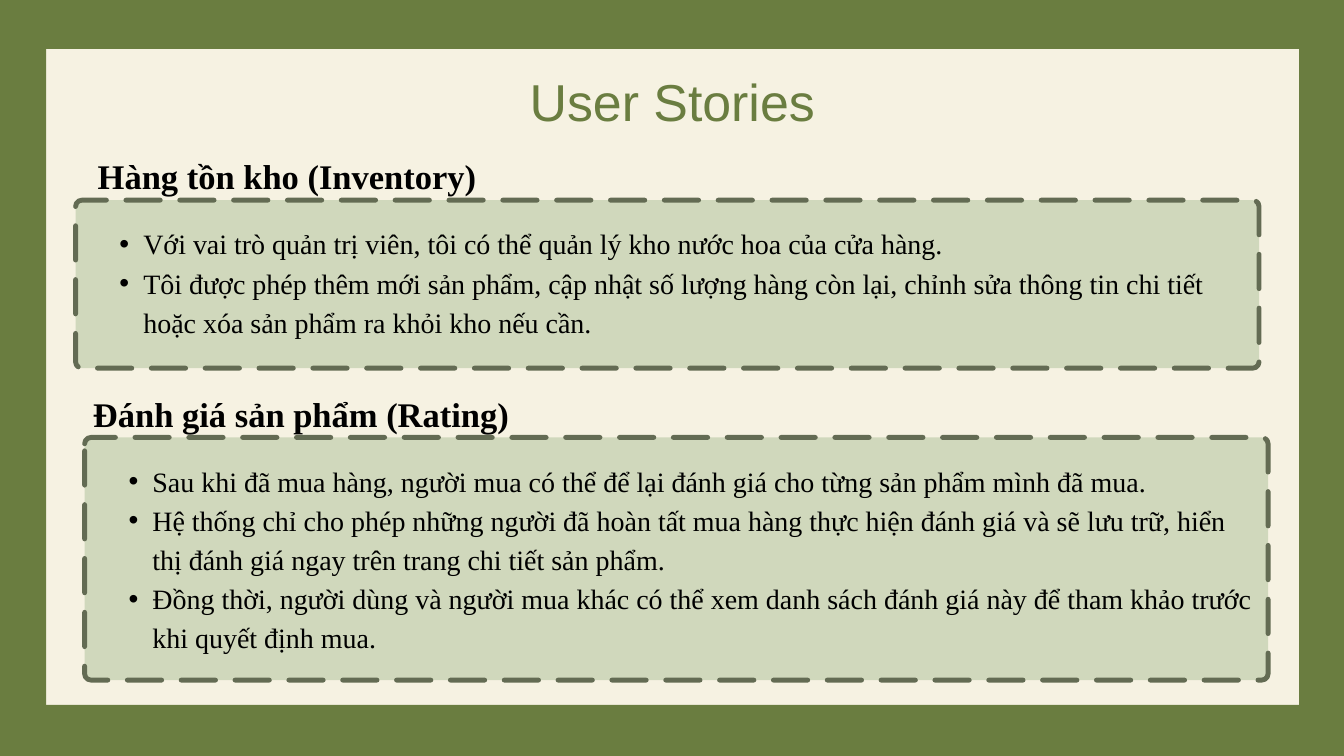
from lxml import etree
from pptx import Presentation
from pptx.dml.color import RGBColor
from pptx.enum.dml import MSO_LINE
from pptx.enum.shapes import MSO_SHAPE as SHAPE
from pptx.enum.text import PP_ALIGN as ALIGN
from pptx.oxml.ns import qn
from pptx.util import Pt

COLORS = {"cream": "F6F2E2", "green": "6A7D40", "card": "D0D8BC",
          "dash": "636B53", "black": "000000"}
SERIF = "Times New Roman"


def rgb(name):
    return RGBColor.from_string(COLORS[name])


def add_text(box, *lines, size, leading, font=SERIF, color="black",
             bold=False, bullets=False):
    """Put one paragraph per line in a text box; box is left, top, width, height."""
    tf = s.shapes.add_textbox(*map(Pt, box)).text_frame
    tf.word_wrap = True
    tf.margin_left = tf.margin_right = tf.margin_top = tf.margin_bottom = 0
    for i, line in enumerate(lines):
        p = tf.add_paragraph() if i else tf.paragraphs[0]
        p.line_spacing = Pt(leading)
        p.alignment = ALIGN.LEFT if bullets else ALIGN.CENTER
        if bullets:
            p.level = 1
            pPr = p._p.get_or_add_pPr()
            pPr.set("marL", str(Pt(51)))
            pPr.set("indent", str(Pt(-25.5)))
            etree.SubElement(pPr, qn("a:buFont")).set("typeface", "Arial")
            etree.SubElement(pPr, qn("a:buChar")).set("char", "•")
        r = p.add_run()
        r.text = line
        r.font.name, r.font.size, r.font.bold = font, Pt(size), bold
        r.font.color.rgb = rgb(color)


prs = Presentation()
prs.slide_width, prs.slide_height = Pt(1440), Pt(810)
s = prs.slides.add_slide(prs.slide_layouts[6])
s.background.fill.solid()
s.background.fill.fore_color.rgb = rgb("cream")

# Green frame: left, right, bottom, top
BAR = 65.5
frame = [(-16, -13.5, BAR, 867), (1392, -28, BAR, 867),
         (-16, 755.3, 1482.5, BAR), (-25, -13, 1482.5, BAR)]
for bar in frame:
    sp = s.shapes.add_shape(SHAPE.RECTANGLE, *map(Pt, bar))
    sp.shadow.inherit = False
    sp.fill.solid()
    sp.fill.fore_color.rgb = rgb("green")
    sp.line.fill.background()

add_text((308, 64, 824.5, 75), "User Stories", size=55.6, leading=77.8,
         font="Arial", color="green")

# Heading, heading left, card left, top and height, stories and their width
stories = [
    ("Hàng tồn kho (Inventory)", -299, 81, 214.5, 180, 1247, [
        "Với vai trò quản trị viên, tôi có thể quản lý kho nước hoa của cửa hàng.",
        "Tôi được phép thêm mới sản phẩm, cập nhật số lượng hàng còn lại, "
        "chỉnh sửa thông tin chi tiết hoặc xóa sản phẩm ra khỏi kho nếu cần.",
    ]),
    ("Đánh giá sản phẩm (Rating)", -284, 90.7, 468.7, 260, 1237, [
        "Sau khi đã mua hàng, người mua có thể để lại đánh giá cho từng "
        "sản phẩm mình đã mua.",
        "Hệ thống chỉ cho phép những người đã hoàn tất mua hàng thực hiện đánh giá "
        "và sẽ lưu trữ, hiển thị đánh giá ngay trên trang chi tiết sản phẩm.",
        "Đồng thời, người dùng và người mua khác có thể xem danh sách đánh giá này "
        "để tham khảo trước khi quyết định mua.",
    ]),
]
for heading, heading_left, left, top, height, text_width, lines in stories:
    sp = s.shapes.add_shape(SHAPE.ROUNDED_RECTANGLE, Pt(left), Pt(top),
                            Pt(1268), Pt(height))
    sp.adjustments[0] = 6.8 / height
    sp.shadow.inherit = False
    sp.fill.solid()
    sp.fill.fore_color.rgb = rgb("card")
    sp.line.color.rgb = rgb("dash")
    sp.line.width = Pt(5.25)
    sp.line.dash_style = MSO_LINE.LONG_DASH
    sp.line._get_or_add_ln().set("cap", "rnd")
    add_text((heading_left, top - 55.4, 1213, 55.4), heading,
             size=37, leading=51.8, bold=True)
    add_text((left + 21.5, top + 22.6, text_width, 42 * (len(lines) + 1)), *lines,
             size=30, leading=42, bullets=True)

prs.save("out.pptx")
